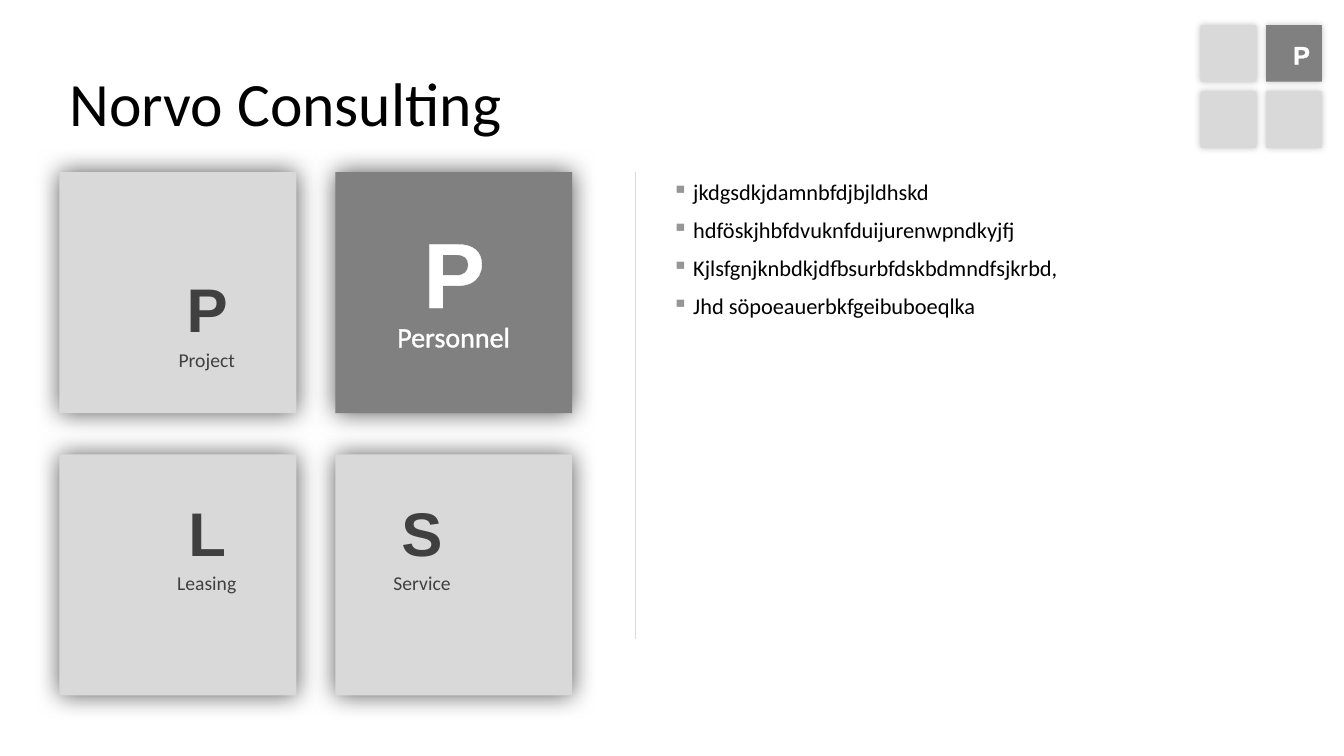
from dataclasses import dataclass

from lxml.etree import SubElement
from pptx import Presentation
from pptx.dml.color import RGBColor
from pptx.enum.shapes import MSO_CONNECTOR, MSO_SHAPE
from pptx.enum.text import MSO_ANCHOR, MSO_AUTO_SIZE, PP_ALIGN
from pptx.oxml.ns import qn
from pptx.shapes.shapetree import GroupShapes, SlideShapes
from pptx.slide import Slide
from pptx.text.text import TextFrame
from pptx.util import Pt

WHITE = RGBColor(0xFF, 0xFF, 0xFF)
BLACK = RGBColor(0, 0, 0)
LIGHT = RGBColor(0xD9, 0xD9, 0xD9)
GRAY = RGBColor(0x80, 0x80, 0x80)
DARK = RGBColor(0x40, 0x40, 0x40)
BULLET = RGBColor(0x96, 0x96, 0x96)

BULLETS = [
    "jkdgsdkjdamnbfdjbjldhskd",
    "hdföskjhbfdvuknfduijurenwpndkyjfj",
    "Kjlsfgnjknbdkjdfbsurbfdskbdmndfsjkrbd,",
    "Jhd söpoeauerbkfgeibuboeqlka",
]


@dataclass
class Label:
    text: str
    left: float
    top: float
    width: float
    height: float
    size: float
    font: str = "Calibri"
    color: RGBColor = DARK


@dataclass
class TileGrid:
    left: float
    top: float
    width: float
    height: float
    step_x: float
    step_y: float
    blur: float
    shadow_alpha: int
    labels: list[Label]


def letter(text: str, left: float, top: float) -> Label:
    return Label(text, left, top, 65.5, 60.5, 44, "Arial")


def caption(text: str, left: float, top: float) -> Label:
    return Label(text, left, top, 131, 24.5, 14)


LARGE_GRID = TileGrid(42.5, 123, 169.2, 172.1, 197, 201.6, 18, 66, [
    Label("P", 291.6, 150.5, 65.5, 87.1, 66, "Arial", WHITE),
    Label("Personnel", 239.8, 224.6, 168.5, 31.7, 20, "Calibri", WHITE),
    letter("L", 115.2, 350),
    caption("Leasing", 82.2, 404.6),
    letter("S", 268.6, 350),
    caption("Service", 236, 404.6),
    letter("P", 115.2, 190),
    caption("Project", 82.2, 244.8),
])
SMALL_GRID = TileGrid(857.5, 18, 40, 40.3, 46.8, 47.3, 5, 25, [
    Label("P", 916.6, 24.5, 15.1, 28.8, 18, "Arial", WHITE),
])


def add_glow(element, blur: float, alpha: int) -> None:
    effects = element.spPr.find(qn("a:effectLst"))
    shadow = SubElement(effects, qn("a:outerShdw"), blurRad=str(Pt(blur)),
                        dist="0", dir="0", algn="ctr", rotWithShape="0")
    color = SubElement(shadow, qn("a:srgbClr"), val=str(BLACK))
    SubElement(color, qn("a:alpha"), val=str(alpha * 1000))


def add_text(shapes: GroupShapes | SlideShapes, left: float, top: float,
             width: float, height: float) -> TextFrame:
    tf = shapes.add_textbox(Pt(left), Pt(top), Pt(width), Pt(height)).text_frame
    tf.word_wrap = True
    return tf


def add_label(shapes: GroupShapes, label: Label) -> None:
    tf = add_text(shapes, label.left, label.top, label.width, label.height)
    tf.auto_size = MSO_AUTO_SIZE.SHAPE_TO_FIT_TEXT
    tf.text = label.text
    p = tf.paragraphs[0]
    p.alignment = PP_ALIGN.CENTER
    r = p.runs[0]
    r.font.size = Pt(label.size)
    r.font.name = label.font
    r.font.bold = label.font == "Arial"
    r.font.color.rgb = label.color
    if label.color == WHITE:
        rPr = r._r.get_or_add_rPr()
        ln = SubElement(rPr, qn("a:ln"), w=str(Pt(0.75)))
        fill = SubElement(ln, qn("a:solidFill"))
        SubElement(fill, qn("a:srgbClr"), val=str(WHITE))
        rPr.insert(0, ln)


def add_grid(s: Slide, grid: TileGrid) -> None:
    shapes = s.shapes.add_group_shape().shapes
    for i in range(4):
        row, col = divmod(i, 2)
        sp = shapes.add_shape(
            MSO_SHAPE.RECTANGLE,
            Pt(grid.left + col * grid.step_x), Pt(grid.top + row * grid.step_y),
            Pt(grid.width), Pt(grid.height))
        sp.fill.solid()
        sp.fill.fore_color.rgb = GRAY if (row, col) == (0, 1) else LIGHT
        sp.line.fill.background()
        sp.shadow.inherit = False
        add_glow(sp.element, grid.blur, grid.shadow_alpha)
    for label in grid.labels:
        add_label(shapes, label)


def add_bullets(s: Slide) -> None:
    tf = add_text(s.shapes, 480.2, 118.8, 437, 337.7)
    tf.margin_left, tf.margin_top = Pt(0), Pt(8.6)
    tf.margin_right, tf.margin_bottom = Pt(11.5), Pt(5.8)
    tf.text = "\n".join(BULLETS)
    for p in tf.paragraphs:
        pPr = p._p.get_or_add_pPr()
        pPr.set("marL", str(Pt(15)))
        pPr.set("indent", str(Pt(-15)))
        color = SubElement(pPr, qn("a:buClr"))
        SubElement(color, qn("a:srgbClr"), val=str(BULLET))
        SubElement(pPr, qn("a:buChar"), char="▪")
        p.space_after = Pt(8)
        font = p.runs[0].font
        font.size = Pt(16)
        font.name = "Calibri"
        font.color.rgb = BLACK


def add_divider(s: Slide) -> None:
    line = s.shapes.add_connector(
        MSO_CONNECTOR.STRAIGHT, Pt(453.6), Pt(123), Pt(453.6), Pt(456.5))
    line.line.color.rgb = LIGHT
    line.line.width = Pt(0.75)
    SubElement(line.element.spPr, qn("a:effectLst"))


def add_title(s: Slide) -> None:
    tf = add_text(s.shapes, 42.5, 33.8, 874.8, 85)
    tf.vertical_anchor = MSO_ANCHOR.MIDDLE
    tf.text = "Norvo Consulting"
    p = tf.paragraphs[0]
    p.line_spacing = 0.9
    font = p.runs[0].font
    font.size = Pt(44)
    font.name = "Calibri"
    font.color.rgb = BLACK


def main() -> None:
    prs = Presentation()
    prs.slide_width, prs.slide_height = Pt(960), Pt(540)
    s = prs.slides.add_slide(prs.slide_layouts[6])
    add_grid(s, LARGE_GRID)
    add_bullets(s)
    add_divider(s)
    add_grid(s, SMALL_GRID)
    add_title(s)
    prs.save("out.pptx")


if __name__ == "__main__":
    main()
